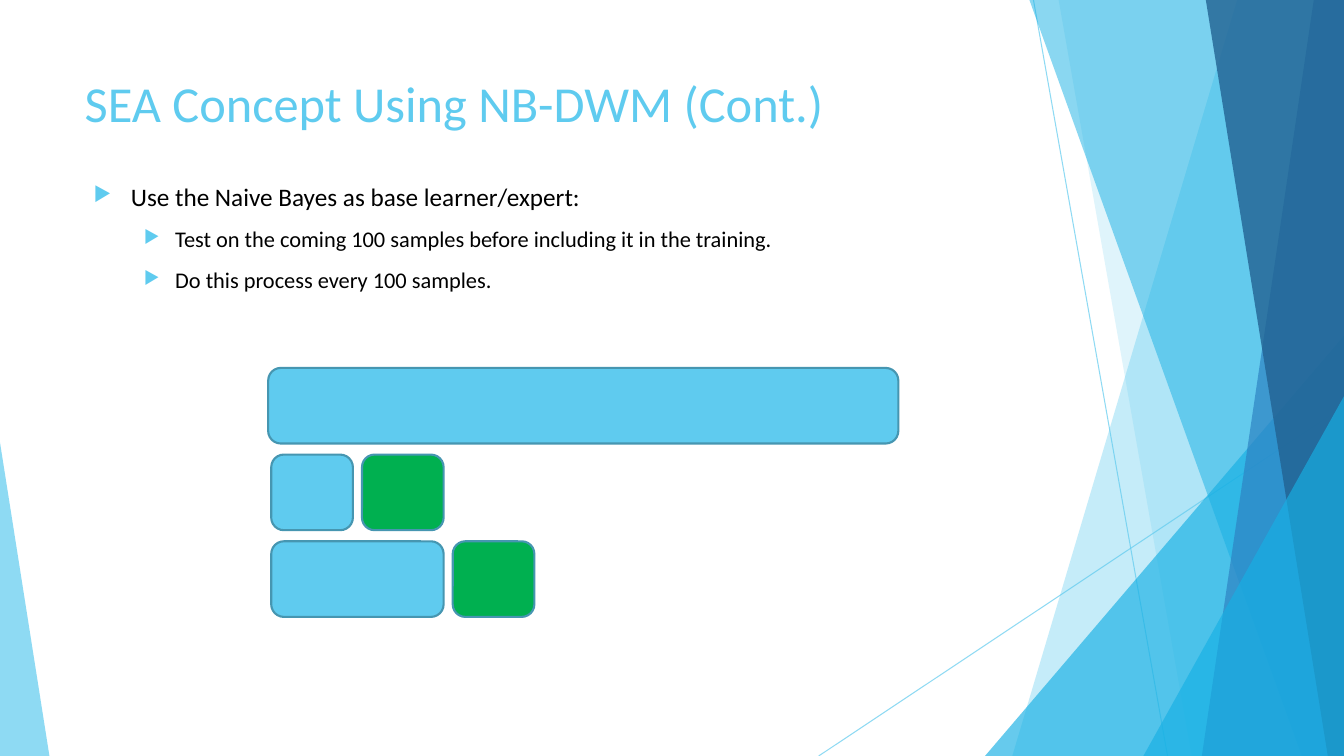
from typing import NamedTuple

from lxml import etree
from pptx import Presentation
from pptx import util as u
from pptx.dml.color import RGBColor
from pptx.enum import shapes, text
from pptx.oxml.ns import qn

COLORS = {
    "sky": "5FCBEF",
    "cyan": "17B0E4",
    "blue": "2E83C3",
    "navy": "226292",
    "outline": "4696B1",
    "green": "00B050",
    "black": "000000",
}
FONT = "Calibri"
WIDTH, HEIGHT = 13.33, 7.5


class Ray(NamedTuple):
    start: tuple[float, float]
    end: tuple[float, float]


class Facet(NamedTuple):
    points: list[tuple[float, float]]
    color: str
    opacity: int


class Block(NamedTuple):
    left: float
    row: int
    width: float
    color: str


class Bullet(NamedTuple):
    wording: str
    level: int
    size: int
    margin: float
    hanging: float


def band(top_left: float, bottom_left: float, top_right: float = WIDTH) -> list[tuple[float, float]]:
    """Outline of a full-height band reaching the right edge of the slide."""
    return [(top_left, 0), (top_right, 0), (WIDTH, HEIGHT), (bottom_left, HEIGHT)]


RAYS = [Ray((10.25, 0), (11.58, HEIGHT)), Ray((WIDTH, 4.03), (8.12, HEIGHT))]
FACETS = [
    Facet(band(12.27, 10.04), "sky", 36),
    Facet(band(10.5, 11.82), "sky", 20),
    Facet([(WIDTH, 3.33), (WIDTH, HEIGHT), (9.77, HEIGHT)], "cyan", 66),
    Facet(band(10.21, 12.91), "cyan", 50),
    Facet(band(13.03, 11.92), "blue", 70),
    Facet(band(11.96, 13.17), "navy", 80),
    Facet([(WIDTH, 3.93), (WIDTH, HEIGHT), (11.34, HEIGHT)], "cyan", 66),
    Facet([(0, 4.39), (0.49, HEIGHT), (0, HEIGHT)], "sky", 70),
]

BLOCK_LEFT, BLOCK_TOP = 2.69, 3.65
BLOCK_HEIGHT, ROW_PITCH = 0.75, 0.86
SAMPLE_WIDTH, SAMPLE_PITCH = 0.81, 0.9
BLOCKS = [Block(2.66, 0, 6.25, "sky")]
for batch in (1, 2):
    trained_width = SAMPLE_WIDTH + (batch - 1) * SAMPLE_PITCH
    tested_left = BLOCK_LEFT + batch * SAMPLE_PITCH
    BLOCKS += [
        Block(BLOCK_LEFT, batch, trained_width, "sky"),
        Block(tested_left, batch, SAMPLE_WIDTH, "green"),
    ]

BULLETS = [
    Bullet("Use the Naive Bayes as base learner/expert:", 0, 18, 0.37, 0.37),
    Bullet("Test on the coming 100 samples before including it in the training.", 1, 16, 0.81, 0.31),
    Bullet("Do this process every 100 samples.", 1, 16, 0.81, 0.31),
]


def rgb(name: str) -> RGBColor:
    return RGBColor.from_string(COLORS[name])


def set_opacity(properties, percent: int) -> None:
    """Make the solid colour inside a shape's fill or line see-through."""
    color = next(properties.iter(qn("a:srgbClr")))
    etree.SubElement(color, qn("a:alpha")).set("val", str(percent * 1000))


def draw_ray(slide, ray: Ray) -> None:
    ends = [u.Inches(value) for value in (*ray.start, *ray.end)]
    connector = slide.shapes.add_connector(shapes.MSO_CONNECTOR.STRAIGHT, *ends)
    connector.line.color.rgb = rgb("sky")
    connector.line.width = u.Pt(0.75)
    properties = connector._element.spPr
    set_opacity(properties, 70)
    etree.SubElement(properties, qn("a:effectLst"))


def draw_facet(slide, facet: Facet) -> None:
    corners = [(u.Inches(x), u.Inches(y)) for x, y in facet.points]
    builder = slide.shapes.build_freeform(*corners[0])
    builder.add_line_segments(corners[1:], close=True)
    outline = builder.convert_to_shape()
    outline.shadow.inherit = False
    outline.fill.solid()
    outline.fill.fore_color.rgb = rgb(facet.color)
    set_opacity(outline._element.spPr, facet.opacity)
    outline.line.fill.background()


def draw_block(slide, block: Block) -> None:
    rounded = slide.shapes.add_shape(
        shapes.MSO_SHAPE.ROUNDED_RECTANGLE,
        u.Inches(block.left),
        u.Inches(BLOCK_TOP + block.row * ROW_PITCH),
        u.Inches(block.width),
        u.Inches(BLOCK_HEIGHT),
    )
    rounded.shadow.inherit = False
    rounded.fill.solid()
    rounded.fill.fore_color.rgb = rgb(block.color)
    rounded.line.color.rgb = rgb("outline")
    rounded.line.width = u.Pt(1.5)


def set_font(paragraph, size: int, color: str) -> None:
    paragraph.font.name = FONT
    paragraph.font.size = u.Pt(size)
    paragraph.font.color.rgb = rgb(color)


def write_title(slide, wording: str) -> None:
    title = slide.shapes.title
    title.left, title.top = u.Inches(0.74), u.Inches(0.67)
    title.width, title.height = u.Inches(9.4), u.Inches(1.44)
    frame = title.text_frame
    frame.text = wording
    frame.auto_size = text.MSO_AUTO_SIZE.NONE
    frame.vertical_anchor = text.MSO_ANCHOR.TOP
    heading = frame.paragraphs[0]
    heading.alignment = text.PP_ALIGN.LEFT
    set_font(heading, 36, "sky")


def write_bullets(slide, bullets: list[Bullet]) -> None:
    body = slide.shapes.add_textbox(u.Inches(0.83), u.Inches(1.75), u.Inches(8.83), u.Inches(5.58))
    frame = body.text_frame
    frame.word_wrap = True
    for index, bullet in enumerate(bullets):
        paragraph = frame.add_paragraph() if index else frame.paragraphs[0]
        paragraph.text = bullet.wording
        paragraph.level = bullet.level
        if index:
            paragraph.space_before = u.Pt(10)
        properties = paragraph._p.get_or_add_pPr()
        properties.set("marL", str(u.Inches(bullet.margin)))
        properties.set("indent", str(-u.Inches(bullet.hanging)))
        marker_color = etree.SubElement(properties, qn("a:buClr"))
        etree.SubElement(marker_color, qn("a:srgbClr")).set("val", COLORS["sky"])
        etree.SubElement(properties, qn("a:buSzPct")).set("val", "80000")
        etree.SubElement(properties, qn("a:buChar")).set("char", "▶")
        set_font(paragraph, bullet.size, "black")


def main() -> None:
    deck = Presentation()
    deck.slide_width, deck.slide_height = u.Inches(WIDTH), u.Inches(HEIGHT)
    slide = deck.slides.add_slide(deck.slide_layouts.get_by_name("Title Only"))
    for ray in RAYS:
        draw_ray(slide, ray)
    for facet in FACETS:
        draw_facet(slide, facet)
    write_title(slide, "SEA Concept Using NB-DWM (Cont.)")
    write_bullets(slide, BULLETS)
    for block in BLOCKS:
        draw_block(slide, block)
    deck.save("out.pptx")


if __name__ == "__main__":
    main()
